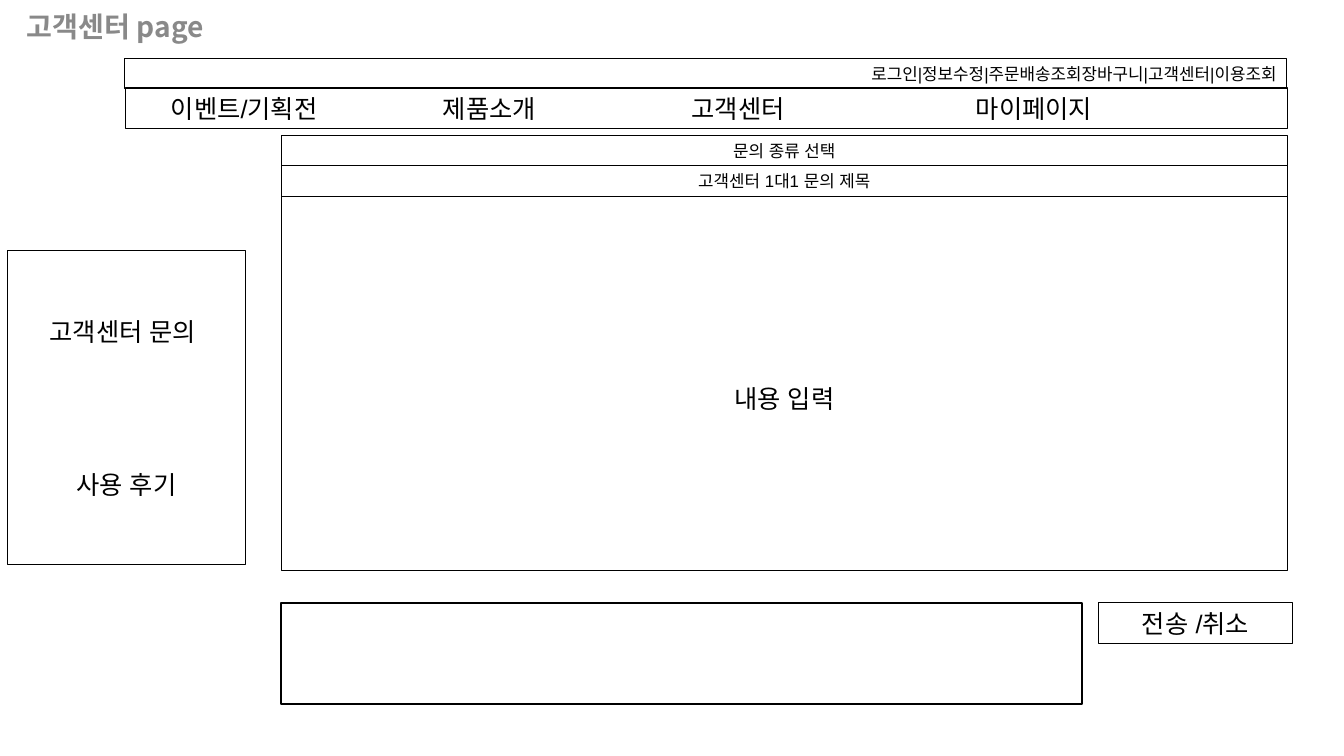
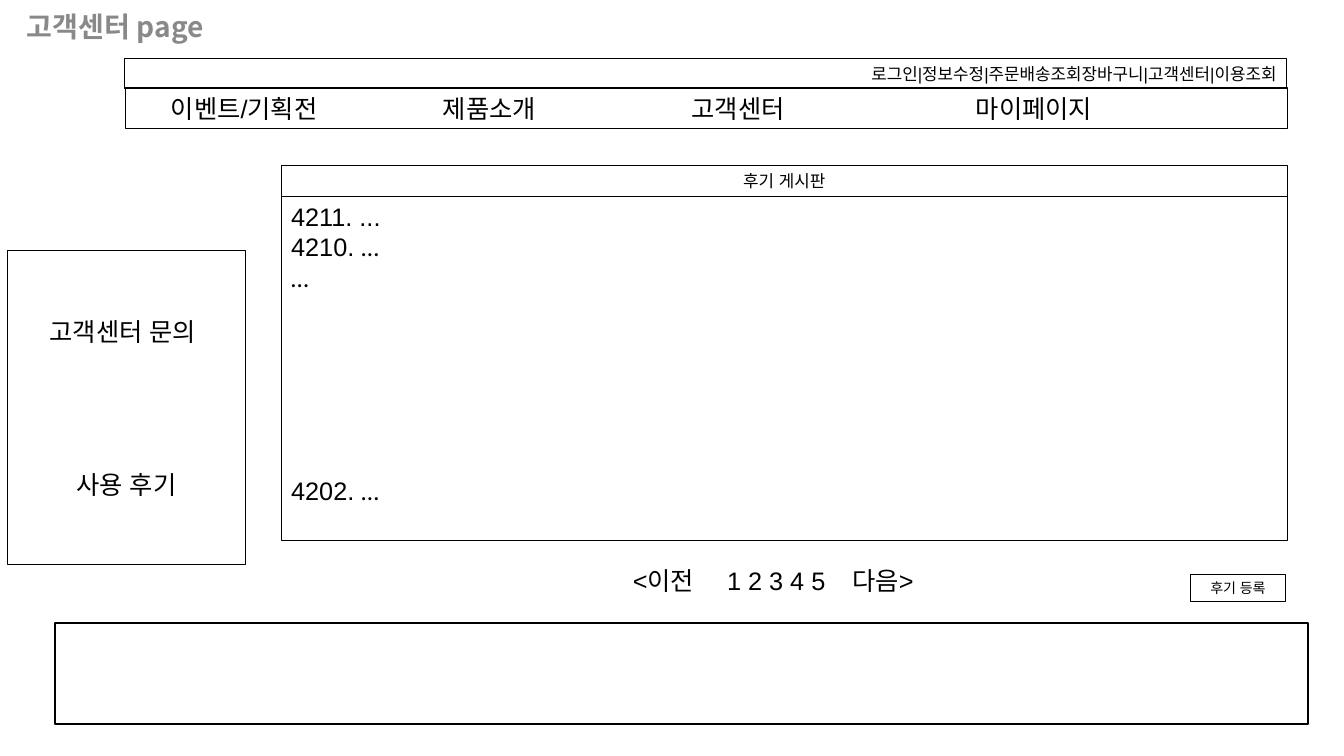
from dataclasses import dataclass

import pptx
import pptx.dml.color
import pptx.enum.shapes
import pptx.enum.text
import pptx.oxml.ns
import pptx.util
from lxml import etree

SLIDE_W = pptx.util.Emu(12150725)
SLIDE_H = pptx.util.Emu(6834188)
EMU_PER_PX = 9144
BLACK = "000000"
WHITE = "FFFFFF"
GREY = "898989"
BODY_FONT = "Arial"
ELLIPSIS_FONT = "Calibri"
TITLE_FONT = "Noto Sans CJK KR"
THIN = 0.77
THICK = 1.5
ALIGN = pptx.enum.text.PP_ALIGN
ANCHOR = pptx.enum.text.MSO_ANCHOR
NAV_ITEMS = ("이벤트/기획전", "제품소개", "고객센터", "마이페이지")
PAGER_ITEMS = ("<이전", "1 2 3 4 5", "다음>")
MAIN_X = 278
MAIN_W = 995
ROW_H = 30


@dataclass(frozen=True)
class Box:
    x: int
    y: int
    w: int
    h: int
    lines: tuple[str, ...] = ()
    size: int = 18
    align: ALIGN = ALIGN.CENTER
    anchor: ANCHOR = ANCHOR.TOP
    line: float | None = THIN
    fill: str | None = None
    font: str = BODY_FONT
    color: str = BLACK
    bold: bool = False
    top: int = 5
    last_gap: int = 0
    tabs: tuple[int, ...] = ()


def px(n: int) -> pptx.util.Emu:
    return pptx.util.Emu(n * EMU_PER_PX)


def rgb(color: str) -> pptx.dml.color.RGBColor:
    return pptx.dml.color.RGBColor.from_string(color)


def add_tabs(p, stops: tuple[int, ...]) -> None:
    tab_list = etree.SubElement(p._p.get_or_add_pPr(), pptx.oxml.ns.qn("a:tabLst"))
    for stop in stops:
        etree.SubElement(tab_list, pptx.oxml.ns.qn("a:tab"), pos=str(px(stop)), algn="l")


def format_run(r, box: Box) -> None:
    name = ELLIPSIS_FONT if r.text == "…" else box.font
    r.font.name = name
    r.font.size = pptx.util.Pt(box.size)
    r.font.bold = box.bold
    r.font.color.rgb = rgb(box.color)
    etree.SubElement(r._r.get_or_add_rPr(), pptx.oxml.ns.qn("a:ea"), typeface=name)


def write_lines(tf, box: Box) -> None:
    tf.word_wrap = True
    tf.vertical_anchor = box.anchor
    tf.margin_left = tf.margin_right = px(10)
    tf.margin_top, tf.margin_bottom = px(box.top), px(5)
    for i, line in enumerate(box.lines):
        p = tf.add_paragraph() if i else tf.paragraphs[0]
        p.alignment = box.align
        if box.last_gap and i == len(box.lines) - 1:
            p.space_before = pptx.util.Pt(box.last_gap)
        if box.tabs:
            add_tabs(p, box.tabs)
        for part in filter(None, line.partition("…")):
            r = p.add_run()
            r.text = part
            format_run(r, box)


def draw(s, box: Box) -> None:
    place = px(box.x), px(box.y), px(box.w), px(box.h)
    if box.line is None:
        sp = s.shapes.add_textbox(*place)
    else:
        sp = s.shapes.add_shape(pptx.enum.shapes.MSO_SHAPE.RECTANGLE, *place)
        sp.shadow.inherit = False
        sp.line.color.rgb = rgb(BLACK)
        sp.line.width = pptx.util.Pt(box.line)
        if box.fill:
            sp.fill.solid()
            sp.fill.fore_color.rgb = rgb(box.fill)
        else:
            sp.fill.background()
    if box.lines:
        write_lines(sp.text_frame, box)


def tabbed(items: tuple[str, ...]) -> tuple[str, ...]:
    return ("".join("\t" + item for item in items),)


def main_row(y: int, text: str) -> Box:
    return Box(MAIN_X, y, MAIN_W, ROW_H, (text,), size=12)


def footer(x: int, y: int, w: int) -> Box:
    return Box(x, y, w, 100, line=THICK, fill=WHITE)


FRAME = (
    Box(123, 58, 1149, ROW_H, ("로그인|정보수정|주문배송조회장바구니|고객센터|이용조회",),
        size=12, align=ALIGN.RIGHT, anchor=ANCHOR.BOTTOM),
    Box(124, 87, 1149, 40, tabbed(NAV_ITEMS), align=ALIGN.LEFT, tabs=(35, 304, 550, 831)),
    Box(7, 248, 236, 310, ("고객센터 문의 ", "사용 후기"), anchor=ANCHOR.MIDDLE, last_gap=87),
    Box(0, 0, 228, 51, ("고객센터 page",), size=20, anchor=ANCHOR.MIDDLE, line=None,
        font=TITLE_FONT, color=GREY, bold=True),
)

INQUIRY = (
    main_row(134, "문의 종류 선택"),
    main_row(164, "고객센터 1대1 문의 제목"),
    Box(MAIN_X, 194, MAIN_W, 370, ("내용 입력",), top=185),
    Box(1086, 596, 192, 40, ("전송 /취소",)),
    footer(MAIN_X, 596, 792),
)

REVIEWS = (
    main_row(164, "후기 게시판"),
    Box(MAIN_X, 194, MAIN_W, 340, ("4211. ...", "4210. …", "…", "4202. …"),
        align=ALIGN.LEFT, last_gap=130),
    Box(1177, 568, 94, 27, ("후기 등록",), size=10),
    Box(605, 554, 326, 40, tabbed(PAGER_ITEMS), align=ALIGN.LEFT, line=None, tabs=(11, 104, 228)),
    footer(54, 616, 1239),
)


def main() -> None:
    prs = pptx.Presentation()
    prs.slide_width, prs.slide_height = SLIDE_W, SLIDE_H
    for content in (INQUIRY, REVIEWS):
        s = prs.slides.add_slide(prs.slide_layouts[6])
        for box in FRAME + content:
            draw(s, box)
    prs.save("out.pptx")


if __name__ == "__main__":
    main()
